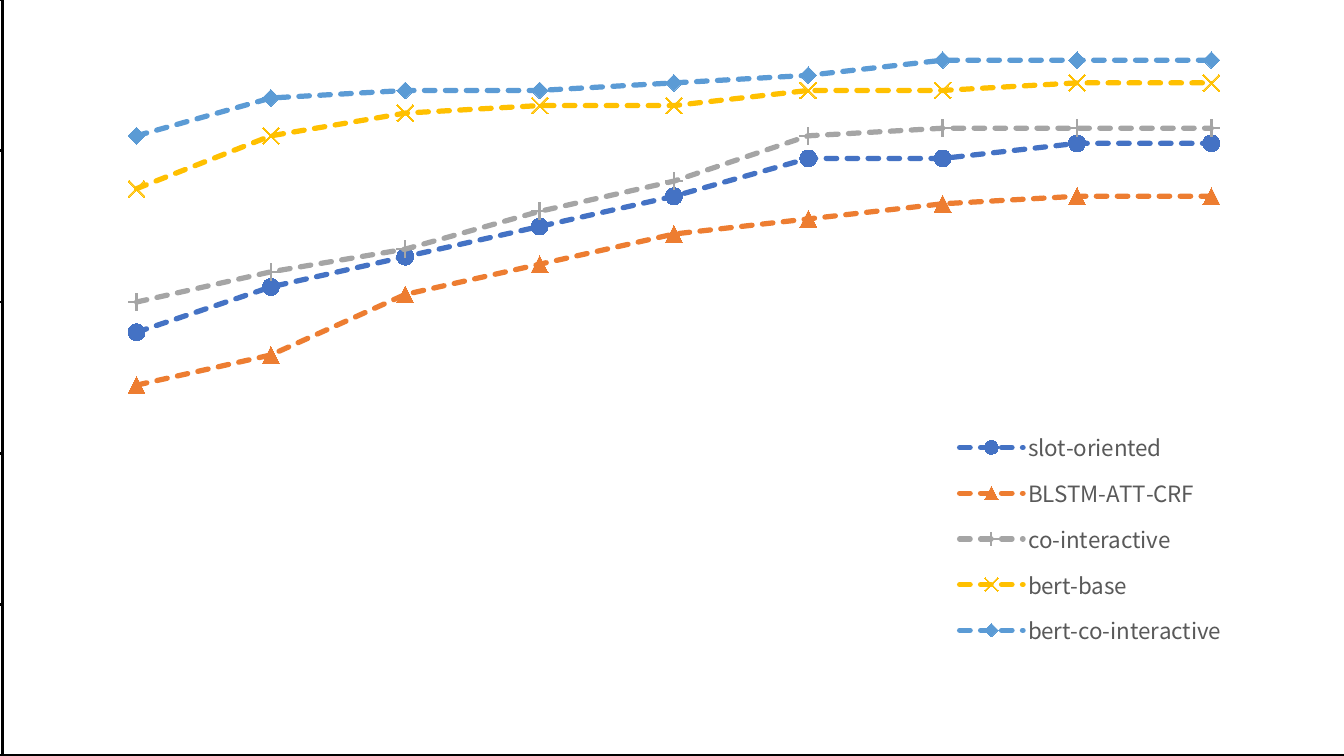
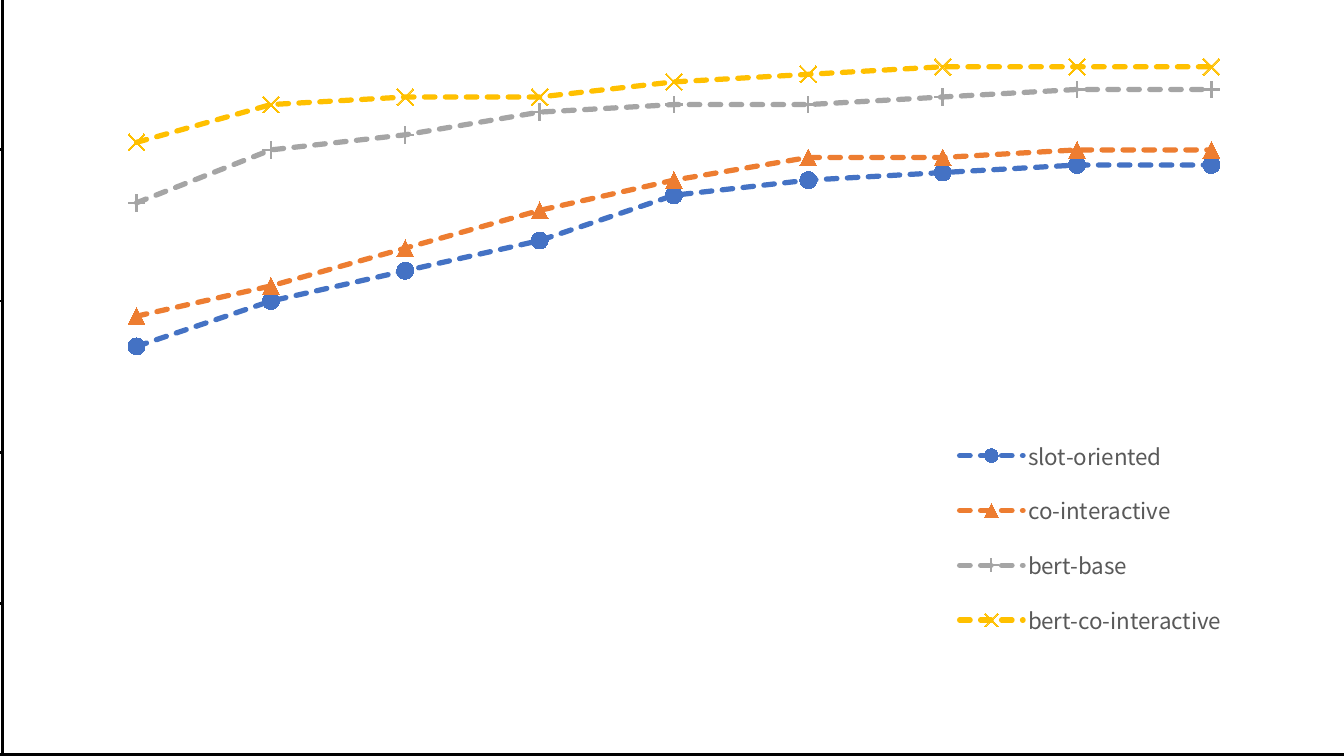
"""Two line charts that compare models over training iterations."""
from dataclasses import dataclass

from lxml import etree
from pptx import Presentation
from pptx import util as u
from pptx.chart import data as chart_data
from pptx.dml.color import RGBColor
from pptx.enum import chart as chart_enum
from pptx.enum import dml
from pptx.oxml import ns, parse_xml

EMU_PER_PIXEL = 914400 / 100.8
SLIDE_SIZE = (1344, 756)
CATEGORIES = ["", *(str(step) for step in range(2, 20, 2)), ""]
PLOT_LAYOUT = (0.097, 0.018, 0.868, 0.872)
MARKERS = [chart_enum.XL_MARKER_STYLE[name]
           for name in ("CIRCLE", "TRIANGLE", "PLUS", "X", "DIAMOND")]


@dataclass(frozen=True)
class Theme:
    """Colours, font and type sizes of the deck."""
    font: str = "Noto Sans CJK SC"
    ink: str = "000000"
    label: str = "595959"
    background: str = "FFFFFF"
    accents: tuple = ("4472C4", "ED7D31", "A5A5A5", "FFC000", "5B9BD5")
    base_size: int = 10
    label_size: int = 16
    title_size: int = 28
    border_width: int = 1
    axis_width: int = 2
    line_width: float = 3.75
    marker_size: int = 12


def pixels(length):
    """Turn pixels into EMU."""
    return u.Emu(round(length * EMU_PER_PIXEL))


def layout_xml(box, inner=False):
    """Build a manual layout from fractions of the chart."""
    layout = etree.Element(ns.qn("c:layout"))
    manual = etree.SubElement(layout, ns.qn("c:manualLayout"))
    settings = [("layoutTarget", "inner")] if inner else []
    settings += [("xMode", "edge"), ("yMode", "edge")]
    settings += zip("xywh", map(str, box))
    for tag, value in settings:
        etree.SubElement(manual, ns.qn(f"c:{tag}")).set("val", value)
    return layout


def drop_child(parent, tag):
    """Remove a child element when it is there."""
    child = parent.find(ns.qn(tag))
    if child is not None:
        parent.remove(child)


class Deck:
    """Holds the style and the current slide."""

    def __init__(self, theme):
        """Start an empty presentation."""
        self.theme = theme
        self.presentation = Presentation()
        self.presentation.slide_width = pixels(SLIDE_SIZE[0])
        self.presentation.slide_height = pixels(SLIDE_SIZE[1])
        self.slide = None

    def add_slide(self):
        """Add a blank slide and make it current."""
        layout = self.presentation.slide_layouts[6]
        self.slide = self.presentation.slides.add_slide(layout)
        fill = self.slide.background.fill
        fill.solid()
        fill.fore_color.rgb = RGBColor.from_string(self.theme.background)

    def style_font(self, font, size, color, bold=False):
        """Set the typeface, size, colour and weight."""
        font.name = self.theme.font
        font.size = u.Pt(size)
        font.bold = bold
        font.color.rgb = RGBColor.from_string(color)

    def style_line(self, line, color, width):
        """Set the colour and width of a line."""
        line.color.rgb = RGBColor.from_string(color)
        line.width = u.Pt(width)

    def add_line_chart(self, box, value_title, rows, legend_box):
        """Add a line chart with markers and a legend over the plot."""
        data = chart_data.CategoryChartData()
        data.categories = CATEGORIES
        for name, values in rows.items():
            data.add_series(name, [None, *values, None])
        frame = self.slide.shapes.add_chart(
            chart_enum.XL_CHART_TYPE.LINE_MARKERS, *map(pixels, box), data)
        chart = frame.chart
        chart.has_title = False
        self.style_font(chart.font, self.theme.base_size, self.theme.ink)
        chart.plots[0].vary_by_categories = False
        self.style_plot_area(chart)
        self.style_axis(chart.category_axis, "iteration")
        self.style_axis(chart.value_axis, value_title)
        self.scale_values(chart.value_axis)
        styles = zip(chart.plots[0].series, self.theme.accents, MARKERS)
        for series, color, marker in styles:
            self.style_series(series, color, marker)
        self.add_legend(chart, legend_box)

    def style_plot_area(self, chart):
        """Place the plot and draw its border."""
        area = chart.element.find(".//" + ns.qn("c:plotArea"))
        drop_child(area, "c:layout")
        area.insert(0, layout_xml(PLOT_LAYOUT, inner=True))
        area.append(parse_xml(
            f"<c:spPr {ns.nsdecls('c', 'a')}><a:noFill/>"
            f'<a:ln w="{u.Pt(self.theme.border_width)}"><a:solidFill>'
            f'<a:srgbClr val="{self.theme.ink}"/>'
            "</a:solidFill></a:ln></c:spPr>"))

    def style_axis(self, axis, title):
        """Style an axis and its title."""
        theme = self.theme
        axis.has_major_gridlines = False
        axis.major_tick_mark = chart_enum.XL_TICK_MARK.OUTSIDE
        axis.minor_tick_mark = chart_enum.XL_TICK_MARK.NONE
        self.style_line(axis.format.line, theme.ink, theme.axis_width)
        self.style_font(axis.tick_labels.font, theme.label_size, theme.label)
        run = axis.axis_title.text_frame.paragraphs[0].add_run()
        run.text = title
        self.style_font(run.font, theme.title_size, theme.ink, bold=True)

    def scale_values(self, axis):
        """Run the values from 0 to 1 and start the lines on the axis."""
        axis.minimum_scale = 0
        axis.maximum_scale = 1
        axis.major_unit = 0.2
        element = axis._element
        drop_child(element, "c:crossBetween")
        between = etree.Element(ns.qn("c:crossBetween"), val="midCat")
        element.find(ns.qn("c:crosses")).addnext(between)

    def style_series(self, series, color, marker_style):
        """Give a series its dashed line and markers."""
        theme = self.theme
        series.smooth = False
        line = series.format.line
        self.style_line(line, color, theme.line_width)
        line.dash_style = dml.MSO_LINE.SQUARE_DOT
        series._element.find(".//" + ns.qn("a:ln")).set("cap", "rnd")
        marker = series.marker
        marker.style = marker_style
        marker.size = theme.marker_size
        marker.format.fill.solid()
        marker.format.fill.fore_color.rgb = RGBColor.from_string(color)
        self.style_line(marker.format.line, color, theme.border_width)

    def add_legend(self, chart, box):
        """Place the legend over the plot."""
        chart.has_legend = True
        legend = chart.legend
        legend.position = chart_enum.XL_LEGEND_POSITION.LEFT
        legend.include_in_layout = True
        self.style_font(legend.font, self.theme.label_size, self.theme.label)
        drop_child(legend._element, "c:layout")
        position = legend._element.find(ns.qn("c:legendPos"))
        position.addnext(layout_xml(box))


SLOT_F1 = {
    "slot-oriented": (0.56, 0.62, 0.66, 0.7, 0.74, 0.79, 0.79, 0.81, 0.81),
    "BLSTM-ATT-CRF": (0.49, 0.53, 0.61, 0.65, 0.69, 0.71, 0.73, 0.74, 0.74),
    "co-interactive": (0.6, 0.64, 0.67, 0.72, 0.76, 0.82, 0.83, 0.83, 0.83),
    "bert-base": (0.75, 0.82, 0.85, 0.86, 0.86, 0.88, 0.88, 0.89, 0.89),
    "bert-co-interactive": (0.82, 0.87, 0.88, 0.88, 0.89, 0.9, 0.92, 0.92,
                            0.92),
}
SENTENCE_ACCURACY = {
    "slot-oriented": (0.54, 0.6, 0.64, 0.68, 0.74, 0.76, 0.77, 0.78, 0.78),
    "co-interactive": (0.58, 0.62, 0.67, 0.72, 0.76, 0.79, 0.79, 0.8, 0.8),
    "bert-base": (0.73, 0.8, 0.82, 0.85, 0.86, 0.86, 0.87, 0.88, 0.88),
    "bert-co-interactive": (0.81, 0.86, 0.87, 0.87, 0.89, 0.9, 0.91, 0.91,
                            0.91),
}


def main():
    """Build both slides and save the deck."""
    deck = Deck(Theme())
    legend_box = (0.71, 0.5, 0.18, 0.28)
    charts = [(-16, "slot f1", SLOT_F1),
              (-17, "sentence accuracy", SENTENCE_ACCURACY)]
    for top, value_title, rows in charts:
        deck.add_slide()
        deck.add_line_chart((-148, top, 1548, 867), value_title, rows,
                            legend_box)
    deck.presentation.save("out.pptx")


main()
